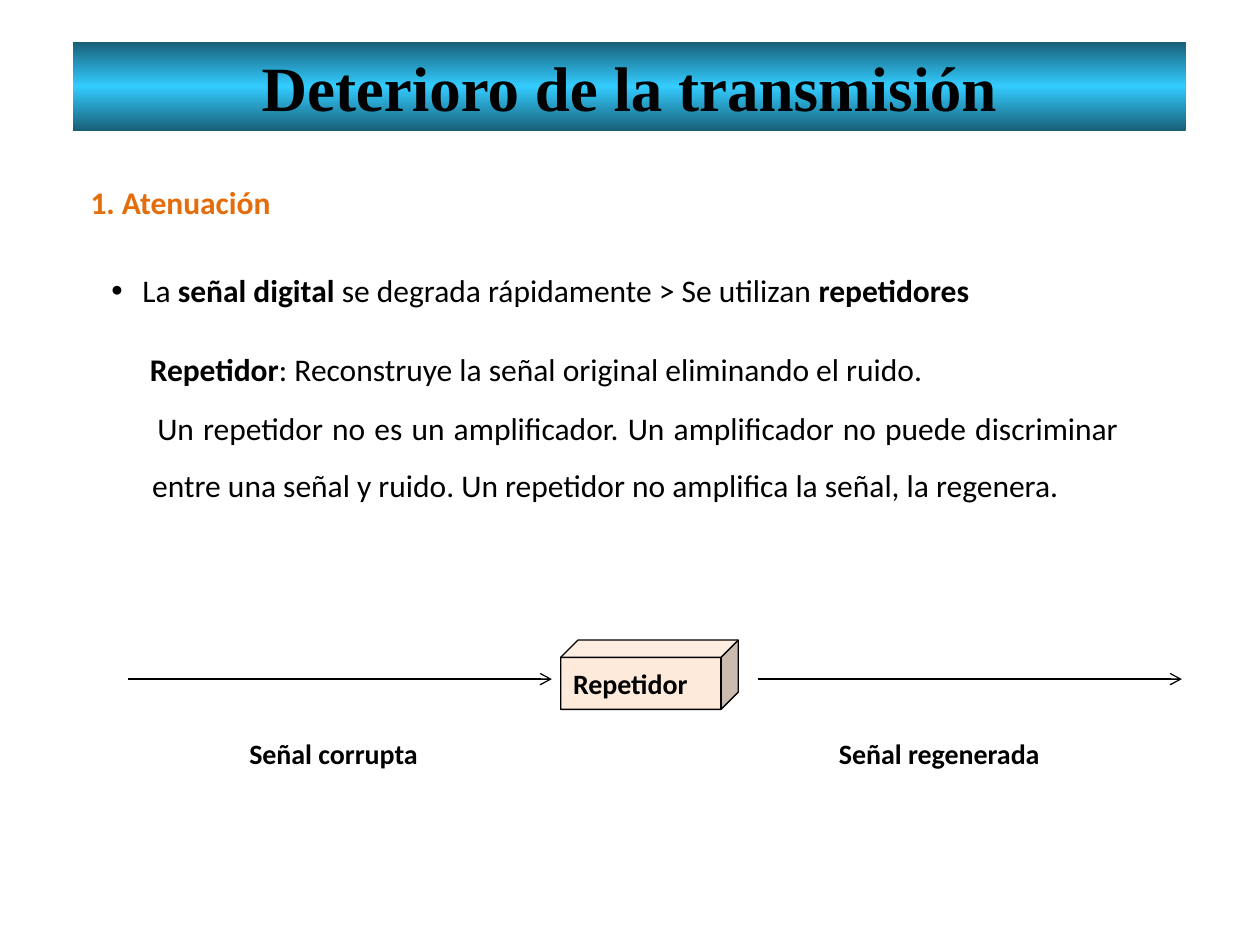
from typing import NamedTuple, Optional

from lxml.etree import SubElement
from pptx import Presentation
from pptx.dml.color import RGBColor
from pptx.enum.shapes import MSO_CONNECTOR as Connector, MSO_SHAPE as Shape
from pptx.enum.text import MSO_ANCHOR as Anchor, MSO_AUTO_SIZE as AutoSize, PP_ALIGN as Align
from pptx.oxml.ns import qn
from pptx.util import Inches, Pt

BLACK = "000000"
ORANGE = "E46C0A"
PEACH = "FDEADA"
TEAL = "185E76"
SKY = "33CCFF"


class Frame(NamedTuple):
    left: float
    top: float
    width: float
    height: float


class Span(NamedTuple):
    text: str
    bold: bool = False


class Style(NamedTuple):
    size: int = 18
    color: str = BLACK
    font: str = "Calibri"
    align: Align = Align.JUSTIFY
    line_spacing: float = 1.5
    margin: float = 0.25
    indent: float = -0.25
    bullet: Optional[str] = None
    anchor: Anchor = Anchor.TOP


class TextItem(NamedTuple):
    frame: Frame
    spans: list[Span]
    style: Style = Style()


class Arrow(NamedTuple):
    left: float
    right: float
    y: float


LABEL = Style(size=16, align=Align.LEFT, line_spacing=1, margin=0, indent=0)
BULLET = Style(bullet="●")
TITLE = LABEL._replace(size=36, font="Times New Roman", align=Align.CENTER, anchor=Anchor.MIDDLE)

HEADING = TextItem(Frame(0.58, 0.33, 8.83, 0.71), [Span("Deterioro de la transmisión", True)], TITLE)
POINT = TextItem(
    Frame(0.78, 1.95, 8.44, 0.5),
    [
        Span("La "),
        Span("señal digital ", True),
        Span("se degrada rápidamente > Se utilizan "),
        Span("repetidores", True),
    ],
    BULLET,
)
REPEATER = TextItem(
    Frame(4.45, 5.08, 1.41, 0.55), [Span("Repetidor", True)], LABEL._replace(anchor=Anchor.MIDDLE)
)
TEXTS = [
    TextItem(Frame(0.62, 1.25, 1.88, 0.5), [Span("1. Atenuación", True)], Style(color=ORANGE)),
    TextItem(
        Frame(1.09, 2.58, 7.89, 0.56),
        [Span("Repetidor", True), Span(": Reconstruye la señal original eliminando el ruido.")],
    ),
    TextItem(
        Frame(0.86, 3.05, 8.12, 1.46),
        [Span("Un repetidor no es un amplificador. Un amplificador no puede discriminar "
              "entre una señal y ruido. Un repetidor no amplifica la señal, la regenera.")],
        Style(indent=0.04),
    ),
    TextItem(Frame(1.88, 5.8, 1.88, 0.37), [Span("Señal corrupta", True)], LABEL),
    TextItem(Frame(6.56, 5.8, 2.19, 0.37), [Span("Señal regenerada", True)], LABEL),
]
ARROWS = [Arrow(1.02, 4.38, 5.39), Arrow(6.02, 9.38, 5.39)]


def rgb(color: str) -> RGBColor:
    return RGBColor.from_string(color)


def place(shape, frame: Frame) -> None:
    shape.left, shape.top, shape.width, shape.height = map(Inches, frame)


def write(shape, item: TextItem) -> None:
    style = item.style
    box = shape.text_frame
    box.word_wrap = True
    box.auto_size = AutoSize.NONE
    box.vertical_anchor = style.anchor
    para = box.paragraphs[0]
    para.alignment = style.align
    para.line_spacing = style.line_spacing
    para.space_before = Pt(0)
    properties = para._p.get_or_add_pPr()
    properties.set("marL", str(Inches(style.margin)))
    properties.set("indent", str(Inches(style.indent)))
    if style.bullet:
        bullet_color = SubElement(properties, qn("a:buClr"))
        SubElement(bullet_color, qn("a:srgbClr"), val=style.color)
        SubElement(properties, qn("a:buSzPct"), val="65000")
        SubElement(properties, qn("a:buChar"), char=style.bullet)
    for span in item.spans:
        run = para.add_run()
        run.text = span.text
        run.font.name = style.font
        run.font.size = Pt(style.size)
        run.font.bold = span.bold
        run.font.color.rgb = rgb(style.color)


def fill_gradient(shape, colors: list[str], angle: int) -> None:
    shape.fill.gradient()
    shape.fill.gradient_angle = angle
    stops = shape._element.spPr.find(qn("a:gradFill")).find(qn("a:gsLst"))
    for stop in list(stops):
        stops.remove(stop)
    for index, color in enumerate(colors):
        position = index * 100000 // (len(colors) - 1)
        stop = SubElement(stops, qn("a:gs"), pos=str(position))
        SubElement(stop, qn("a:srgbClr"), val=color)


def draw_text(page, item: TextItem) -> None:
    write(page.shapes.add_textbox(*map(Inches, item.frame)), item)


def draw_cube(page, item: TextItem) -> None:
    cube = page.shapes.add_shape(Shape.CUBE, *map(Inches, item.frame))
    cube.shadow.inherit = False
    cube.fill.solid()
    cube.fill.fore_color.rgb = rgb(PEACH)
    cube.line.color.rgb = rgb(BLACK)
    cube.line.width = Pt(0.75)
    write(cube, item)


def draw_arrow(page, arrow: Arrow) -> None:
    line = page.shapes.add_connector(
        Connector.STRAIGHT, *map(Inches, (arrow.left, arrow.y, arrow.right, arrow.y))
    )
    line.line.color.rgb = rgb(BLACK)
    line.line.width = Pt(0.75)
    SubElement(line.line._get_or_add_ln(), qn("a:tailEnd"), type="arrow")
    SubElement(line._element.spPr, qn("a:effectLst"))


def main() -> None:
    deck = Presentation()
    deck.slide_width, deck.slide_height = Inches(10), Inches(7.5)
    page = deck.slides.add_slide(deck.slide_layouts[1])
    title, body = page.placeholders
    for shape, item in ((title, HEADING), (body, POINT)):
        place(shape, item.frame)
        write(shape, item)
    fill_gradient(title, [TEAL, SKY, TEAL], 90)
    for item in TEXTS:
        draw_text(page, item)
    for arrow in ARROWS:
        draw_arrow(page, arrow)
    draw_cube(page, REPEATER)
    deck.save("out.pptx")


if __name__ == "__main__":
    main()
